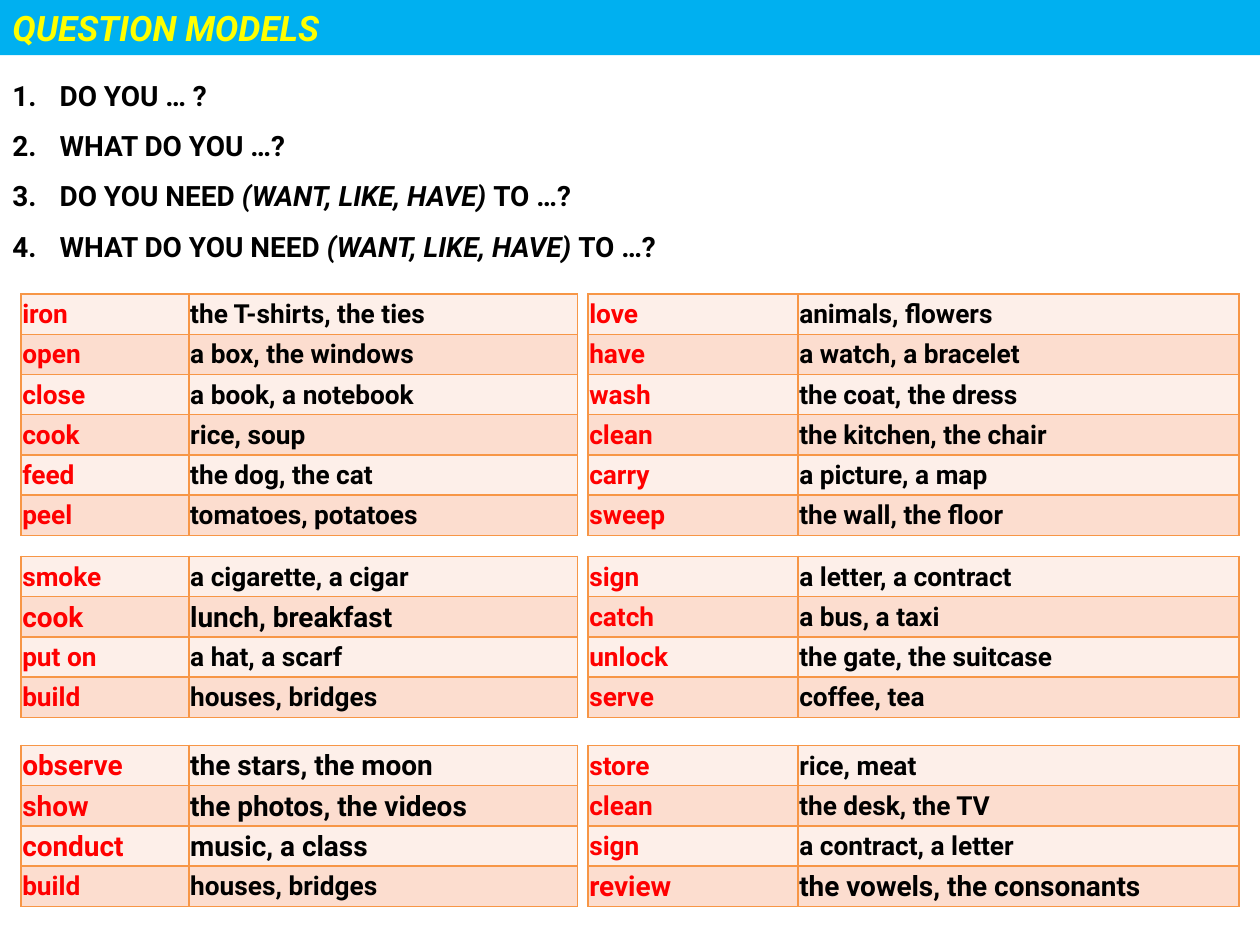
from dataclasses import dataclass

from lxml.etree import SubElement
from pptx import Presentation
from pptx.dml.color import RGBColor as Rgb
from pptx.enum.shapes import MSO_SHAPE as Shape
from pptx.enum.text import MSO_ANCHOR as Anchor, MSO_AUTO_SIZE as AutoSize, PP_ALIGN as Align
from pptx.oxml.ns import qn
from pptx.util import Pt


@dataclass(frozen=True)
class Theme:
    font: str = "Roboto"
    banner: str = "00B0F0"
    title: str = "FFFF00"
    text: str = "000000"
    verb: str = "FF0000"
    border: str = "F79646"
    bands: tuple = ("FDEFE9", "FCDDCF")
    title_size: int = 20
    large: int = 16
    normal: int = 15


THEME = Theme()
ROW_HEIGHT = 23
# left edge and the widths of the verb and object columns
COLUMNS = ((12, (96, 222)), (336, (120, 252)))

MODELS = (
    (("DO YOU … ?", False),),
    (("WHAT DO YOU …?", False),),
    (("DO YOU NEED ", False), ("(WANT, LIKE, HAVE) ", True), ("TO …?", False)),
    (("WHAT DO YOU NEED ", False), ("(WANT, LIKE, HAVE) ", True), ("TO …?", False)),
)

# top edge, then the left and the right table
BANDS = (
    (168,
     (("iron", "the T-shirts, the ties"), ("open", "a box, the windows"),
      ("close", "a book, a notebook"), ("cook", "rice, soup"),
      ("feed", "the dog, the cat"), ("peel", "tomatoes, potatoes")),
     (("love", "animals, flowers"), ("have", "a watch, a bracelet"),
      ("wash", "the coat, the dress"), ("clean", "the kitchen, the chair"),
      ("carry", "a picture, a map"), ("sweep", "the wall, the floor"))),
    (318,
     (("smoke", "a cigarette, a cigar"), ("cook", "lunch, breakfast"),
      ("put on", "a hat, a scarf"), ("build", "houses, bridges")),
     (("sign", "a letter, a contract"), ("catch", "a bus, a taxi"),
      ("unlock", "the gate, the suitcase"), ("serve", "coffee, tea"))),
    (426,
     (("observe", "the stars, the moon"), ("show", "the photos, the videos"),
      ("conduct", "music, a class"), ("build", "houses, bridges")),
     (("store", "rice, meat"), ("clean", "the desk, the TV"),
      ("sign", "a contract, a letter"), ("review", "the vowels, the consonants"))),
)
LARGE_ROWS = {"lunch, breakfast", "the stars, the moon", "the photos, the videos",
              "music, a class", "the vowels, the consonants"}


def apply(target, values):
    for name, value in values.items():
        setattr(target, name, value)


def add_span(para, text, size, color, italic=False):
    span = para.add_run()
    span.text = text
    apply(span.font, {"name": THEME.font, "size": Pt(size), "bold": True, "italic": italic})
    span.font.color.rgb = Rgb.from_string(color)


def add_banner(page, left, top, width, height):
    banner = page.shapes.add_shape(Shape.RECTANGLE, Pt(left), Pt(top), Pt(width), Pt(height))
    banner.shadow.inherit = False
    banner.fill.solid()
    banner.fill.fore_color.rgb = Rgb.from_string(THEME.banner)
    banner.line.fill.background()
    apply(banner.text_frame, {"word_wrap": True, "vertical_anchor": Anchor.TOP,
                              "auto_size": AutoSize.SHAPE_TO_FIT_TEXT})
    para = banner.text_frame.paragraphs[0]
    para.alignment = Align.LEFT
    add_span(para, "QUESTION MODELS", THEME.title_size, THEME.title, italic=True)


def add_models(page, left, top, width, height):
    """Place the numbered list of question models."""
    box = page.shapes.add_textbox(Pt(left), Pt(top), Pt(width), Pt(height))
    frame = box.text_frame
    apply(frame, {"word_wrap": True, "auto_size": AutoSize.SHAPE_TO_FIT_TEXT})
    for index, model in enumerate(MODELS):
        para = frame.add_paragraph() if index else frame.paragraphs[0]
        props = para._p.get_or_add_pPr()
        props.set("marL", str(Pt(27)))
        props.set("indent", str(Pt(-27)))
        SubElement(props, qn("a:buAutoNum"), type="arabicPeriod")
        para.line_spacing = 1.5
        for text, italic in model:
            add_span(para, text, THEME.large, THEME.text, italic)


def add_borders(cell):
    """Draw all four edges, which must stand before the cell's fill."""
    props = cell._tc.get_or_add_tcPr()
    for edge in ("lnL", "lnR", "lnT", "lnB"):
        line = SubElement(props, qn(f"a:{edge}"), w=str(Pt(1)))
        fill = SubElement(line, qn("a:solidFill"))
        SubElement(fill, qn("a:srgbClr"), val=THEME.border)


def add_word_table(page, left, top, widths, rows):
    """Place a table of verbs and their objects."""
    table = page.shapes.add_table(len(rows), len(widths), Pt(left), Pt(top),
                                  Pt(sum(widths)), Pt(ROW_HEIGHT * len(rows))).table
    apply(table, {"first_row": False, "horz_banding": False})
    for column, width in zip(table.columns, widths):
        column.width = Pt(width)
    for index, words in enumerate(rows):
        table.rows[index].height = Pt(ROW_HEIGHT)
        size = THEME.large if words[1] in LARGE_ROWS else THEME.normal
        for cell, text, color in zip(table.rows[index].cells, words, (THEME.verb, THEME.text)):
            apply(cell, {"margin_left": Pt(0.75), "margin_right": Pt(0.75),
                         "margin_top": Pt(0.75), "margin_bottom": 0,
                         "vertical_anchor": Anchor.MIDDLE})
            add_borders(cell)
            cell.fill.solid()
            cell.fill.fore_color.rgb = Rgb.from_string(THEME.bands[index % 2])
            add_span(cell.text_frame.paragraphs[0], text, size, color)


def main():
    deck = Presentation()
    apply(deck, {"slide_width": Pt(720), "slide_height": Pt(540)})
    page = deck.slides.add_slide(deck.slide_layouts[6])
    add_banner(page, 0, 0, 720, 31.5)
    add_models(page, 0, 31.5, 486, 119.5)
    for top, *tables in BANDS:
        for (left, widths), rows in zip(COLUMNS, tables):
            add_word_table(page, left, top, widths, rows)
    deck.save("out.pptx")


if __name__ == "__main__":
    main()
